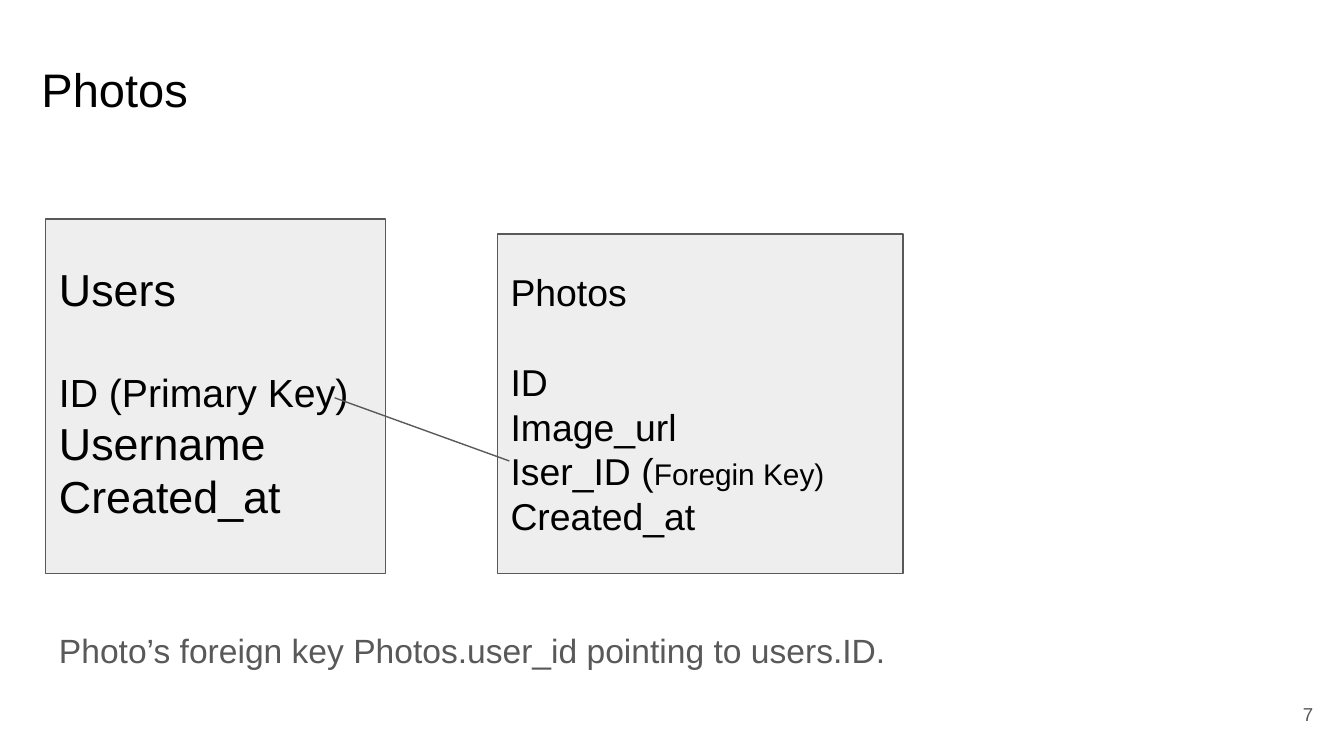
from dataclasses import dataclass

from lxml.etree import SubElement
from pptx import Presentation
from pptx.dml.color import RGBColor
from pptx.enum.shapes import MSO_CONNECTOR, MSO_SHAPE
from pptx.enum.text import MSO_ANCHOR, PP_ALIGN
from pptx.oxml.ns import qn
from pptx.slide import Slide
from pptx.text.text import TextFrame
from pptx.util import Inches, Pt

BLACK = RGBColor(0x00, 0x00, 0x00)
GRAY = RGBColor(0x59, 0x59, 0x59)
PALE = RGBColor(0xEE, 0xEE, 0xEE)
FONT = "Arial"
PAD = 0.1
WIDTH = 10
HEIGHT = WIDTH * 9 / 16


@dataclass
class Run:
    text: str
    size: float
    color: RGBColor = BLACK


@dataclass
class Line:
    runs: list[Run]
    before: float = 0
    after: float = 0
    space: float = 1.0
    align: PP_ALIGN = PP_ALIGN.LEFT


@dataclass
class Box:
    left: float
    top: float
    width: float
    height: float
    lines: list[Line]
    anchor: MSO_ANCHOR = MSO_ANCHOR.TOP
    lift: float = 0


def write(frame: TextFrame, box: Box) -> None:
    frame.word_wrap = True
    frame.vertical_anchor = box.anchor
    frame.margin_left = frame.margin_right = frame.margin_top = Inches(PAD)
    frame.margin_bottom = Inches(PAD + box.lift)
    for i, line in enumerate(box.lines):
        para = frame.add_paragraph() if i else frame.paragraphs[0]
        para.alignment = line.align
        para.line_spacing = line.space
        para.space_before, para.space_after = Pt(line.before), Pt(line.after)
        for part in line.runs:
            run = para.add_run()
            run.text = part.text
            run.font.name = FONT
            run.font.size = Pt(part.size)
            run.font.color.rgb = part.color


def bounds(box: Box) -> list[int]:
    return [Inches(v) for v in (box.left, box.top, box.width, box.height)]


def add_text(slide: Slide, box: Box) -> None:
    write(slide.shapes.add_textbox(*bounds(box)).text_frame, box)


def add_card(slide: Slide, box: Box) -> None:
    card = slide.shapes.add_shape(MSO_SHAPE.RECTANGLE, *bounds(box))
    card.shadow.inherit = False
    card.fill.solid()
    card.fill.fore_color.rgb = PALE
    card.line.color.rgb = GRAY
    card.line.width = Pt(0.75)
    write(card.text_frame, box)


def add_link(slide: Slide, start: tuple[float, float],
             end: tuple[float, float]) -> None:
    ends = [Inches(v) for v in (*start, *end)]
    link = slide.shapes.add_connector(MSO_CONNECTOR.STRAIGHT, *ends)
    link.line.color.rgb = GRAY
    link.line.width = Pt(0.75)
    SubElement(link._element.spPr, qn("a:effectLst"))


# Title, caption and page number
TEXTS = [
    Box(0.21, 0.35, 9.32, 0.63, [Line([Run("Photos", 25.2)])]),
    Box(0.34, 4.54, 9.19, 1.09, [Line(
        [Run("Photo’s foreign key Photos.user_id pointing to users.ID.",
             18, GRAY)], after=12, space=1.15)]),
    Box(9.27, 5.1, 0.6, 0.43,
        [Line([Run("7", 10, GRAY)], align=PP_ALIGN.RIGHT)],
        MSO_ANCHOR.MIDDLE),
]

# Database tables, each with a gap below its name
CARDS = [
    Box(3.7, 1.74, 3.02, 2.53, [
        Line([Run("Photos", 20)]),
        Line([Run("ID", 20)], before=24),
        Line([Run("Image_url", 20)]),
        Line([Run("Iser_ID (", 20), Run("Foregin Key)", 16)]),
        Line([Run("Created_at", 20)]),
    ], MSO_ANCHOR.MIDDLE),
    Box(0.34, 1.63, 2.53, 2.64, [
        Line([Run("Users", 24)]),
        Line([Run("ID (Primary Key)", 21)], before=28),
        Line([Run("Username", 24)]),
        Line([Run("Created_at", 24)]),
    ], MSO_ANCHOR.MIDDLE, lift=0.06),
]


def main() -> None:
    deck = Presentation()
    deck.slide_width, deck.slide_height = Inches(WIDTH), Inches(HEIGHT)
    slide = deck.slides.add_slide(deck.slide_layouts[6])
    for box in TEXTS:
        add_text(slide, box)
    for box in CARDS:
        add_card(slide, box)
    # Foreign key to primary key
    add_link(slide, (3.79, 3.43), (2.49, 2.96))
    deck.save("out.pptx")


if __name__ == "__main__":
    main()
